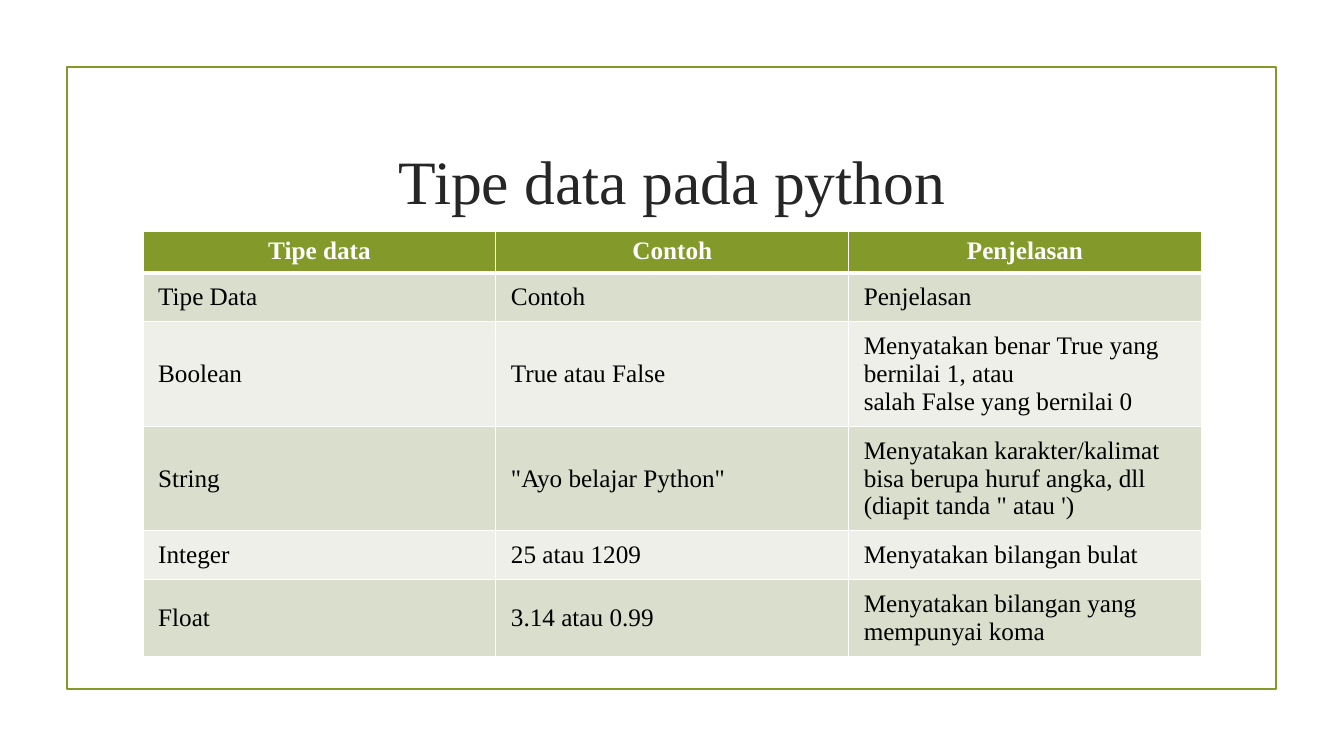
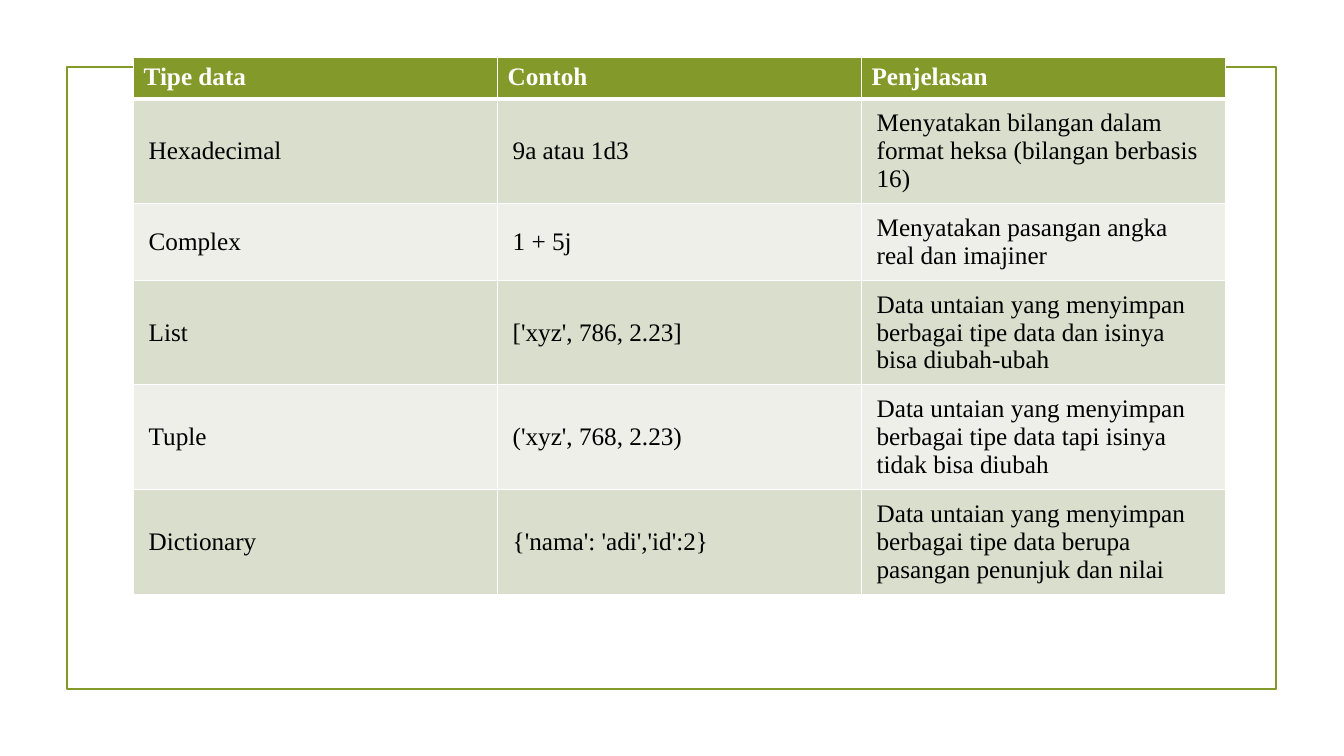
from lxml import etree
from pptx import Presentation
from pptx.dml.color import RGBColor
from pptx.enum.shapes import MSO_SHAPE
from pptx.enum.text import MSO_ANCHOR, PP_ALIGN
from pptx.oxml.ns import qn
from pptx.util import Pt

RECTANGLE = MSO_SHAPE.RECTANGLE
TOP, MIDDLE = MSO_ANCHOR.TOP, MSO_ANCHOR.MIDDLE
LEFT, CENTER = PP_ALIGN.LEFT, PP_ALIGN.CENTER
TITLE_ONLY, BLANK = 5, 6

FONT = "Times New Roman"
GREEN, WHITE, BLACK, DARK = "83992A", "FFFFFF", "000000", "262626"
BANDS = ("D9DECD", "EDEFE8")
FRAME = (47.7, 48, 864, 444)
TITLE_BOX = (102.2, 77, 756, 103)
HEADER_HEIGHT, LINE_HEIGHT, ROW_PADDING = 29.2, 20, 14.8
HARD_SPACE = chr(160)

HEADINGS = ("Tipe data", "Contoh", "Penjelasan")
SLIDES = [
    {
        "title": "Tipe data pada python",
        "left": 102.2, "top": 165.6, "width": 756, "heading_align": CENTER,
        "rows": [
            ("Tipe Data", "Contoh", "Penjelasan", 1),
            ("Boolean", "True~atau~False",
             "Menyatakan benar~True~yang bernilai~1, atau salah~False~yang bernilai~0", 3),
            ("String", '"Ayo belajar Python"',
             "Menyatakan karakter/kalimat bisa berupa huruf angka, dll "
             "(diapit tanda~\"~atau~')", 3),
            ("Integer", "25~atau~1209", "Menyatakan bilangan bulat", 1),
            ("Float", "3.14~atau~0.99", "Menyatakan bilangan yang mempunyai koma", 2),
        ],
    },
    {
        "title": None,
        "left": 95.4, "top": 41.3, "width": 780, "heading_align": LEFT,
        "rows": [
            ("Hexadecimal", "9a~atau~1d3",
             "Menyatakan bilangan dalam format heksa (bilangan berbasis 16)", 3),
            ("Complex", "1 + 5j", "Menyatakan pasangan angka real dan imajiner", 2),
            ("List", "['xyz', 786, 2.23]",
             "Data untaian yang menyimpan berbagai tipe data dan isinya bisa diubah-ubah", 3),
            ("Tuple", "('xyz', 768, 2.23)",
             "Data untaian yang menyimpan berbagai tipe data tapi isinya tidak bisa diubah", 3),
            ("Dictionary", "{'nama': 'adi','id':2}",
             "Data untaian yang menyimpan berbagai tipe data berupa pasangan penunjuk dan nilai", 3),
        ],
    },
]


def color(value):
    return RGBColor.from_string(value)


def apply(target, values):
    for name, value in values.items():
        setattr(target, name, value)


def write(text_frame, text, align, size, text_color, bold=False):
    text_frame.text = text.replace("~", HARD_SPACE)
    paragraph = text_frame.paragraphs[0]
    paragraph.alignment = align
    font = paragraph.runs[0].font
    apply(font, {"name": FONT, "size": Pt(size), "bold": bold})
    font.color.rgb = color(text_color)


def add_frame(slide):
    frame = slide.shapes.add_shape(RECTANGLE, *map(Pt, FRAME))
    frame.shadow.inherit = False
    frame.fill.background()
    frame.line.color.rgb = color(GREEN)
    frame.line.width = Pt(1.25)


def add_title(slide, text):
    title = slide.shapes.title
    apply(title, dict(zip(("left", "top", "width", "height"), map(Pt, TITLE_BOX))))
    title.text_frame.vertical_anchor = MIDDLE
    write(title.text_frame, text, CENTER, 44, DARK)


def set_borders(cell, top, bottom):
    properties = cell._tc.get_or_add_tcPr()
    for index, (side, width) in enumerate(zip("LRTB", (1, 1, top, bottom))):
        border = etree.Element(qn("a:ln" + side), w=str(Pt(width)))
        fill = etree.SubElement(border, qn("a:solidFill"))
        etree.SubElement(fill, qn("a:srgbClr"), val=WHITE)
        properties.insert(index, border)


def format_cell(cell, text, row, heading_align):
    heading = row == 0
    across, along = (7.2, 3.6) if heading else (10.8, 7.2)
    apply(cell, {
        "margin_left": Pt(across), "margin_right": Pt(across),
        "margin_top": Pt(along), "margin_bottom": Pt(along),
        "vertical_anchor": TOP if heading else MIDDLE,
    })
    cell.fill.solid()
    cell.fill.fore_color.rgb = color(GREEN if heading else BANDS[(row - 1) % 2])
    write(cell.text_frame, text, heading_align if heading else LEFT, 18,
          WHITE if heading else BLACK, heading)
    set_borders(cell, 3 if row == 1 else 1, 3 if heading else 1)


def add_type_table(slide, content):
    rows = [HEADINGS] + [row[:3] for row in content["rows"]]
    heights = [HEADER_HEIGHT] + [ROW_PADDING + LINE_HEIGHT * row[3] for row in content["rows"]]
    table = slide.shapes.add_table(
        len(rows), len(HEADINGS), Pt(content["left"]), Pt(content["top"]),
        Pt(content["width"]), Pt(sum(heights))).table
    for row, (texts, height) in enumerate(zip(rows, heights)):
        table.rows[row].height = Pt(height)
        for column, text in enumerate(texts):
            format_cell(table.cell(row, column), text, row, content["heading_align"])


def main():
    presentation = Presentation()
    apply(presentation, {"slide_width": Pt(960), "slide_height": Pt(540)})
    for content in SLIDES:
        layout = TITLE_ONLY if content["title"] else BLANK
        slide = presentation.slides.add_slide(presentation.slide_layouts[layout])
        add_frame(slide)
        if content["title"]:
            add_title(slide, content["title"])
        add_type_table(slide, content)
    presentation.save("out.pptx")


if __name__ == "__main__":
    main()
